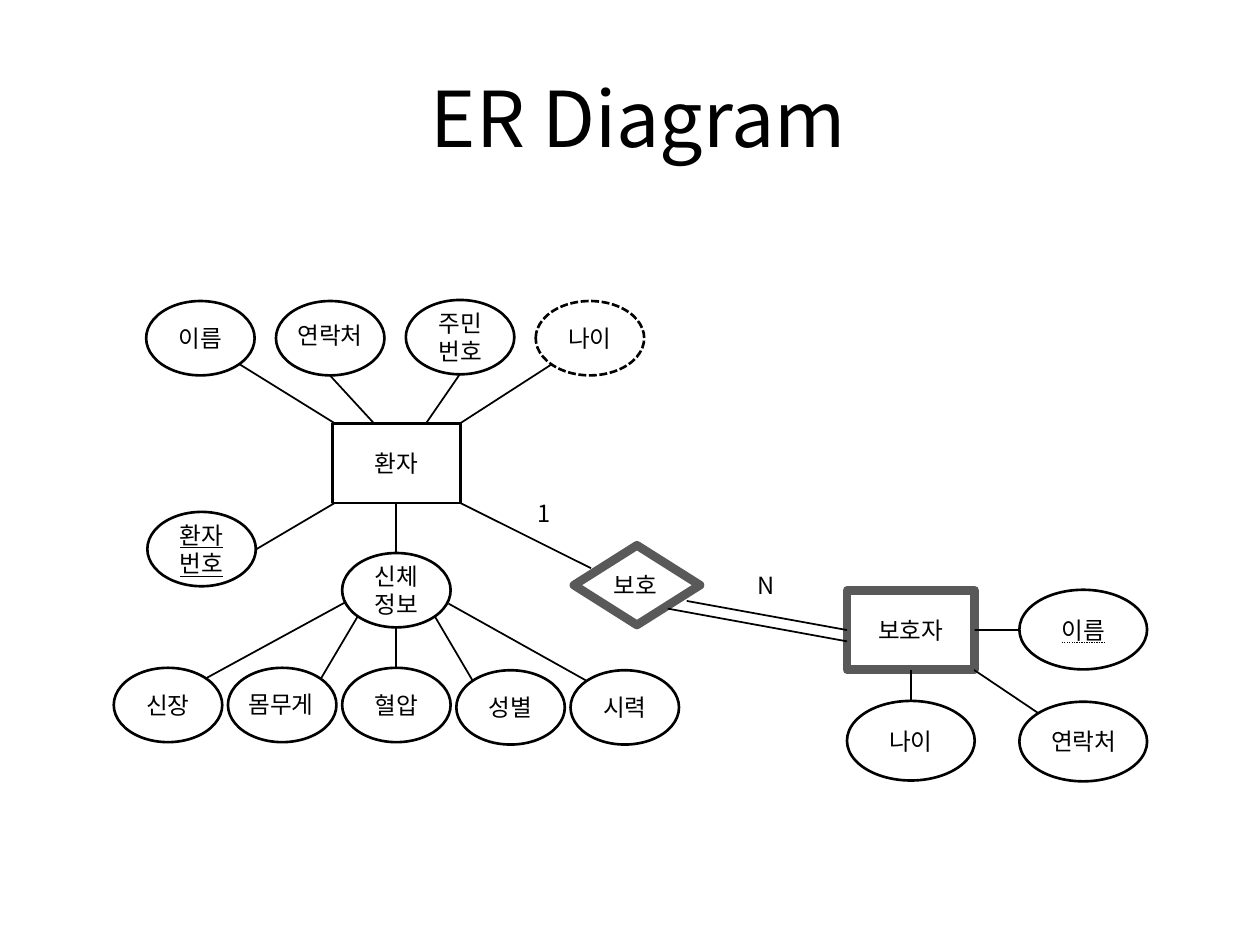
from lxml import etree
from pptx import Presentation
from pptx import util as u
from pptx.dml.color import RGBColor
from pptx.enum import dml, shapes, text
from pptx.oxml.ns import qn

COLORS = {"ink": "000000", "paper": "FFFFFF", "weak": "595959"}
TOP, LEFT, BOTTOM, RIGHT = range(4)
SMALL, LARGE = (62, 42.5), (73, 45.5)


def rgb(name):
    return RGBColor.from_string(COLORS[name])


class Diagram:
    font = "Noto Sans CJK KR"
    size = 13.5

    def __init__(self, slide):
        self.shapes = slide.shapes

    def set_text(self, shape, words, size=None, align=text.PP_ALIGN.CENTER,
                 anchor=text.MSO_ANCHOR.MIDDLE, wrap=True, underline=None):
        frame = shape.text_frame
        frame.word_wrap, frame.vertical_anchor = wrap, anchor
        para = frame.paragraphs[0]
        para.alignment = align
        span = para.add_run()
        span.text = words
        values = {"name": self.font, "size": u.Pt(size or self.size), "underline": underline}
        for key, value in values.items():
            setattr(span.font, key, value)
        span.font.color.rgb = rgb("ink")
        # East Asian letters take their typeface from a:ea
        latin = span.font._element.find(qn("a:latin"))
        east = etree.Element(qn("a:ea"), typeface=self.font)
        latin.addnext(east)

    def node(self, kind, left, top, extent, words="", color="ink", width=1.5,
             dash=None, underline=None):
        shape = self.shapes.add_shape(kind, *map(u.Pt, (left, top, *extent)))
        shape.shadow.inherit = False
        shape.fill.solid()
        shape.fill.fore_color.rgb = rgb("paper")
        shape.line.color.rgb = rgb(color)
        for key, value in {"width": u.Pt(width), "dash_style": dash}.items():
            setattr(shape.line, key, value)
        if words:
            self.set_text(shape, words, underline=underline)
        return shape

    def attribute(self, left, top, words="", extent=SMALL, **style):
        return self.node(shapes.MSO_SHAPE.OVAL, left, top, extent, words, **style)

    def entity(self, left, top, words, **style):
        return self.node(shapes.MSO_SHAPE.RECTANGLE, left, top, LARGE, words, **style)

    def label(self, left, top, width, height, words, **style):
        box = self.shapes.add_textbox(*map(u.Pt, (left, top, width, height)))
        self.set_text(box, words, **style)

    def link(self, start, end, source=None, target=None):
        """Draw a line; source and target are (shape, side) joints."""
        line = self.shapes.add_connector(shapes.MSO_CONNECTOR.STRAIGHT,
                                         *map(u.Pt, (*start, *end)))
        line.line.color.rgb = rgb("ink")
        line.line.width = u.Pt(1)
        etree.SubElement(line._element.spPr, qn("a:effectLst"))
        if source:
            line.begin_connect(*source)
        if target:
            line.end_connect(*target)


def main():
    deck = Presentation()
    deck.slide_width, deck.slide_height = u.Pt(720), u.Pt(540)
    er = Diagram(deck.slides.add_slide(deck.slide_layouts[6]))
    er.label(36, 21.6, 648, 90, " ER Diagram", size=44)

    # Entities and their relationship
    weak = {"color": "weak", "width": 5}
    patient = er.entity(190, 242, "환자")
    guardian = er.entity(484, 337.3, "보호자", **weak)
    er.node(shapes.MSO_SHAPE.DIAMOND, 328, 311.6, (72, 45.5), **weak)

    # Patient attributes
    for column, (words, top, dash) in enumerate([
            ("이름", 172, None), ("", 172, None), ("주민번호", 171.4, None),
            ("나이", 172, dml.MSO_LINE.SQUARE_DOT)]):
        er.attribute(83.5 + 74.2 * column, top, words, dash=dash)
    er.attribute(84.2, 292.5, "환자번호", underline=True)
    body = er.attribute(195.5, 316, "신체정보")
    parts = [er.attribute(65 + 65.25 * column, top, words)
             for column, (words, top) in enumerate([
                 ("신장", 381.6), ("", 381.6), ("혈압", 381.6),
                 ("성별", 383), ("시력", 383)])]

    # Guardian attributes
    er.attribute(582.5, 337, "이름", LARGE, underline=text.MSO_UNDERLINE.DOTTED_LINE)
    age = er.attribute(484, 400.5, "나이", LARGE)
    er.attribute(582.5, 401, extent=LARGE)

    # Words wider than the text area of their shape
    for left, top, words in [(146.2, 178.6, "연락처"), (118, 389.5, "몸무게"),
                             (576.7, 411, "연락처"), (320.4, 321.8, "보호")]:
        er.label(left, top, 85, 25.2, words)

    for start, end in [
            ((136.8, 208.1), (191.5, 242)), ((188.6, 214.6), (213.8, 242)),
            ((262.8, 213.8), (243.4, 242)), ((315.4, 208.1), (262.8, 242)),
            ((191.5, 287.3), (146.2, 314)), ((262.8, 287.3), (337.7, 324.7)),
            ((197.3, 344.2), (118.1, 387.4)), ((204.5, 352.1), (183.6, 387.4)),
            ((248.4, 352.1), (270, 388.8)), ((256.3, 344.9), (334.8, 388.8)),
            ((381.6, 347.8), (484, 366.5)), ((556.6, 382.8), (593.3, 407.5))]:
        er.link(start, end)
    er.link((226.5, 287.5), (226.5, 316), (patient, BOTTOM), (body, TOP))
    er.link((226.5, 358), (226.5, 381.6), target=(parts[2], TOP))
    er.link((520.5, 383), (520.5, 400.5), (guardian, BOTTOM), (age, TOP))
    er.link((557, 360), (582.5, 360), source=(guardian, RIGHT))
    er.link((392.4, 343.4), (484, 360), target=(guardian, LEFT))

    # Cardinalities
    for left, top, words in [(300.2, 281.5, "1"), (425.5, 322.6, "N")]:
        er.label(left, top, 23, 23.8, words, align=text.PP_ALIGN.LEFT,
                 anchor=text.MSO_ANCHOR.TOP, wrap=False)
    deck.save("out.pptx")


if __name__ == "__main__":
    main()
